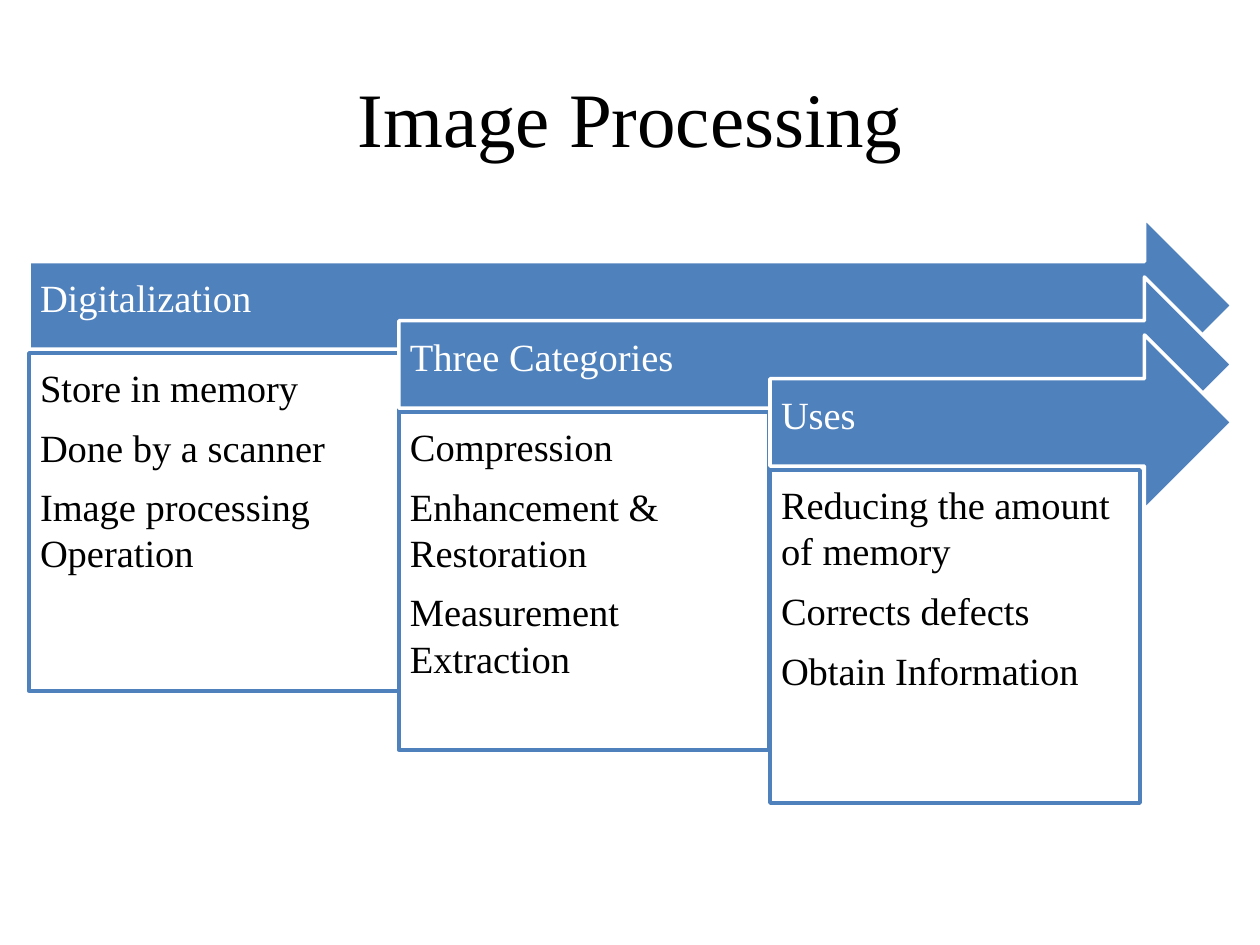
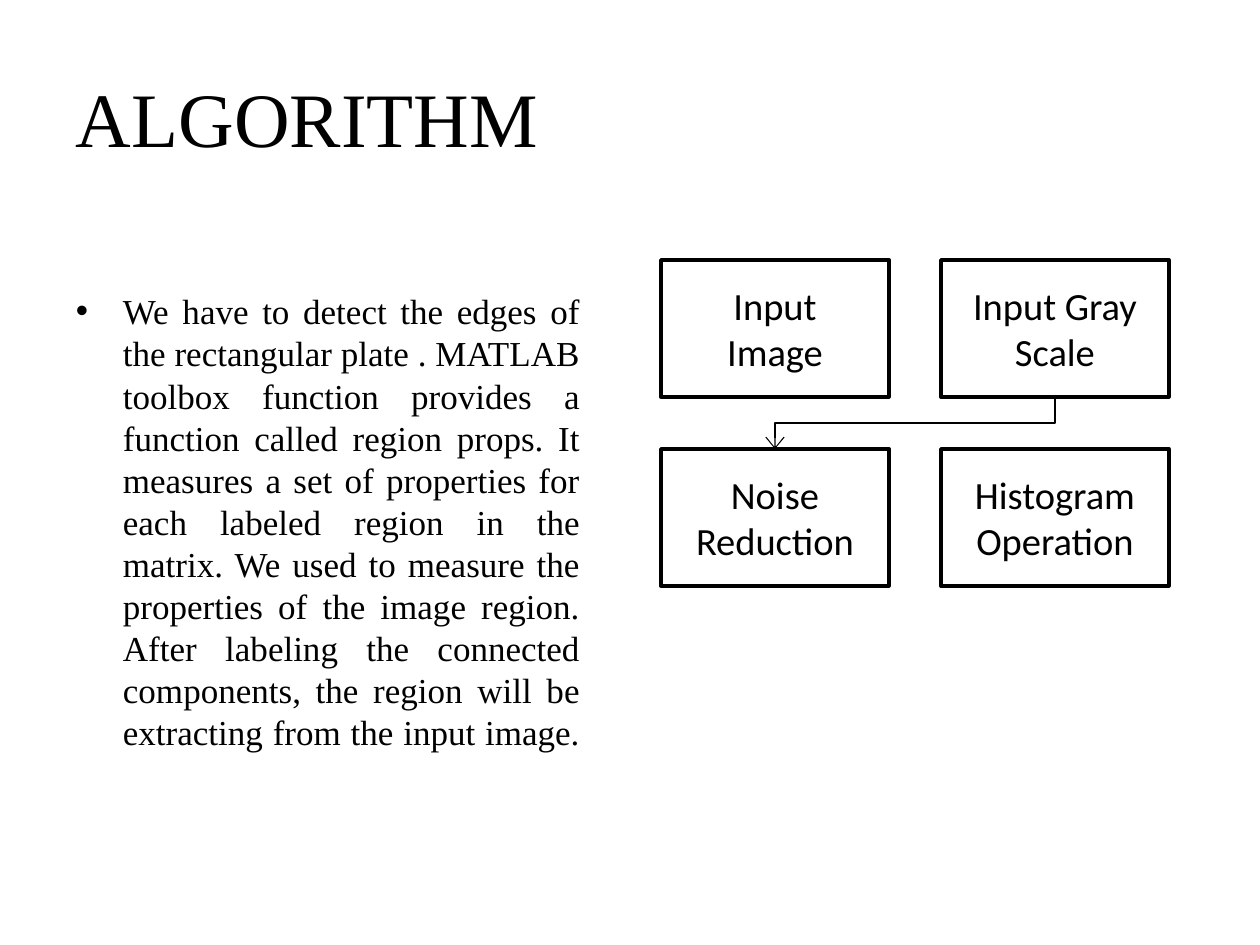
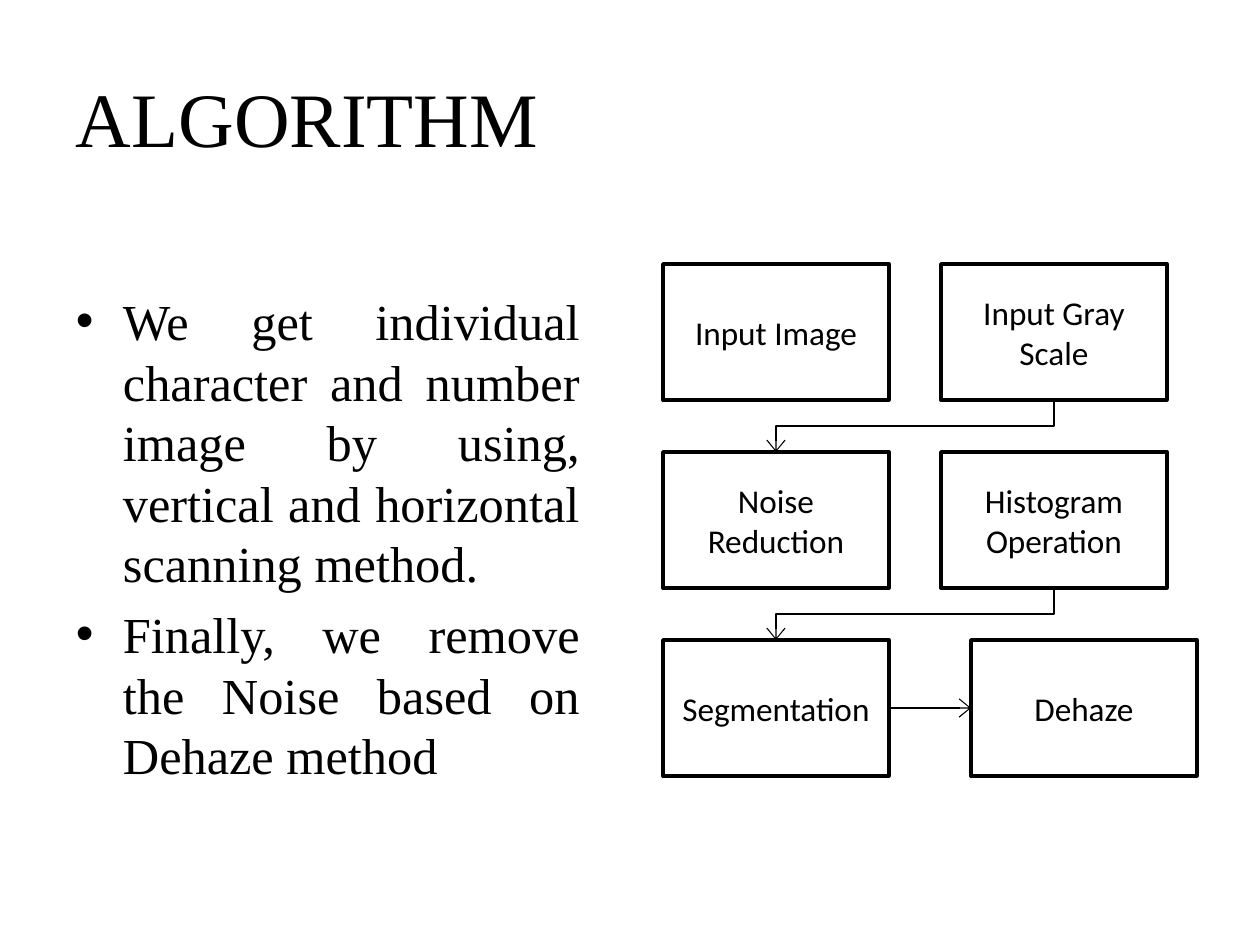
from lxml import etree
from pptx import Presentation
from pptx.dml.color import RGBColor
from pptx.enum import shapes, text
from pptx.oxml.ns import qn
from pptx.util import Emu, Pt

SCALE = 914400 / 126
SERIF, SANS = "Times New Roman", "Calibri"
BLACK, WHITE, BLUE = "000000", "FFFFFF", "4F81BD"
LEFT, MID, JUST = text.PP_ALIGN.LEFT, text.PP_ALIGN.CENTER, text.PP_ALIGN.JUSTIFY
TOP, CENTER = text.MSO_ANCHOR.TOP, text.MSO_ANCHOR.MIDDLE


def px(n):
    return Emu(round(n * SCALE))


def rgb(code):
    return RGBColor.from_string(code)


def write(shape, lines, size, font=SERIF, color=BLACK, align=LEFT,
          anchor=TOP, pad=(13, 6, 12, 6), gap=0.35, bullet=False):
    """Fill a shape with paragraphs; gap is a share of the text size."""
    frame = shape.text_frame
    frame.word_wrap = True
    frame.vertical_anchor = anchor
    (frame.margin_left, frame.margin_top,
     frame.margin_right, frame.margin_bottom) = map(px, pad)
    frame.text = "\n".join(lines)
    for i, para in enumerate(frame.paragraphs):
        if bullet:
            mark(para)
        para.alignment = align
        para.line_spacing = Pt(round(size * 1.2, 1))
        if i:
            para.space_before = Pt(round(size * gap, 1))
        for run in para.runs:
            run.font.size = Pt(size)
            run.font.name = font
            run.font.color.rgb = rgb(color)


def mark(para):
    """Give a paragraph a hanging round bullet."""
    props = para._p.get_or_add_pPr()
    props.set("marL", str(px(47)))
    props.set("indent", str(-px(47)))
    etree.SubElement(props, qn("a:buFont")).set("typeface", "Arial")
    etree.SubElement(props, qn("a:buChar")).set("char", "•")


def box(slide, kind, area, fill, line):
    shape = slide.shapes.add_shape(kind, *map(px, area))
    shape.shadow.inherit = False
    shape.fill.solid()
    shape.fill.fore_color.rgb = rgb(fill)
    shape.line.color.rgb = rgb(line)
    shape.line.width = Pt(2)
    return shape


def title(slide, words, align=LEFT):
    area = slide.shapes.add_textbox(*map(px, (63, 38, 1134, 158)))
    write(area, [words], 44, align=align, anchor=CENTER)


def body(slide, lines, size, high):
    area = slide.shapes.add_textbox(*map(px, (63, 284, 529, high)))
    write(area, lines, size, align=JUST, gap=0.2, bullet=True)


def tip(shape):
    """Draw a thin black line that ends in a wide open arrow."""
    shape.line.color.rgb = rgb(BLACK)
    shape.line.width = Pt(0.75)
    end = etree.SubElement(shape.line._get_or_add_ln(), qn("a:tailEnd"))
    end.set("type", "arrow")
    end.set("w", "lg")
    end.set("len", "med")


def bend(slide, start, end):
    """Lead an arrow down, across and down again."""
    (x1, y1), (x2, y2) = start, end
    half = (y1 + y2) / 2
    pen = slide.shapes.build_freeform(x1, y1, scale=SCALE)
    pen.add_line_segments([(x1, half), (x2, half), (x2, y2)], close=False)
    path = pen.convert_to_shape()
    path.shadow.inherit = False
    path.fill.background()
    tip(path)


def link(slide, x1, x2, y):
    line = slide.shapes.add_connector(
        shapes.MSO_CONNECTOR.STRAIGHT, px(x1), px(y), px(x2), px(y))
    etree.SubElement(line._element.spPr, qn("a:effectLst"))
    tip(line)


def step(slide, words, area, size, pad):
    card = box(slide, shapes.MSO_SHAPE.RECTANGLE, area, WHITE, BLACK)
    write(card, [words], size, SANS, align=MID, anchor=CENTER, pad=(pad,) * 4)


def flow(slide, names, left, top, wide, high, size, pad):
    """Lay steps out in two columns, each row led on to the next."""
    across, down = 941 - left, high + 52
    for i, name in enumerate(names):
        row, col = divmod(i, 2)
        x, y = left + col * across, top + row * down
        if col == 0 and row:
            bend(slide, (x + across + wide / 2, y - 52), (x + wide / 2, y))
        step(slide, name, (x, y, wide, high), size, pad)


def stage(slide, i, head, lines, high):
    """Add one arrow of the cascade with its list below."""
    x, y = 29 + 741 * i // 2, 218 + (117 * i + 1) // 2
    arrow = box(slide, shapes.MSO_SHAPE.RIGHT_ARROW,
                (x, y, 1232 - x, 175), BLUE, WHITE)
    write(arrow, [head], 22, color=WHITE, anchor=CENTER, pad=(11, 11, 35, 28))
    card = box(slide, shapes.MSO_SHAPE.RECTANGLE,
               (x, y + 135, 370, high), WHITE, BLUE)
    write(card, lines, 22, pad=(11,) * 4)


STAGES = [
    ("Digitalization",
     ["Store in memory", "Done by a scanner", "Image processing Operation"], 338),
    ("Three Categories",
     ["Compression", "Enhancement & Restoration", "Measurement Extraction"], 338),
    ("Uses",
     ["Reducing the amount of memory", "Corrects defects",
      "Obtain Information"], 333),
]
STEPS = ["Input Image", "Input Gray Scale", "Noise Reduction",
         "Histogram Operation"]
EDGES = [
    "We have to detect the edges of the rectangular plate . MATLAB toolbox "
    "function provides a function called region props. It measures a set of "
    "properties for each labeled region in the matrix. We used to measure the "
    "properties of the image region. After labeling the connected components, "
    "the region will be extracting from the input image. "]
SCAN = [
    "We get individual character and number image by using, vertical and "
    "horizontal scanning method.",
    "Finally, we remove the Noise based on Dehaze method"]


def main():
    deck = Presentation()
    deck.slide_width, deck.slide_height = px(1260), px(945)
    first, second, third = [
        deck.slides.add_slide(deck.slide_layouts[6]) for _ in range(3)]

    title(first, "Image Processing", MID)
    for i, (head, lines, high) in enumerate(STAGES):
        stage(first, i, head, lines, high)

    title(second, "ALGORITHM")
    body(second, EDGES, 20, 515)
    flow(second, STEPS, 661, 260, 228, 137, 22, 21)

    title(third, "ALGORITHM")
    body(third, SCAN, 28.8, 467)
    flow(third, STEPS + ["Segmentation"], 663, 264, 226, 136, 19, 18)
    link(third, 889, 971, 708)
    step(third, "Dehaze", (971, 640, 226, 136), 19, 18)

    deck.save("out.pptx")


if __name__ == "__main__":
    main()
